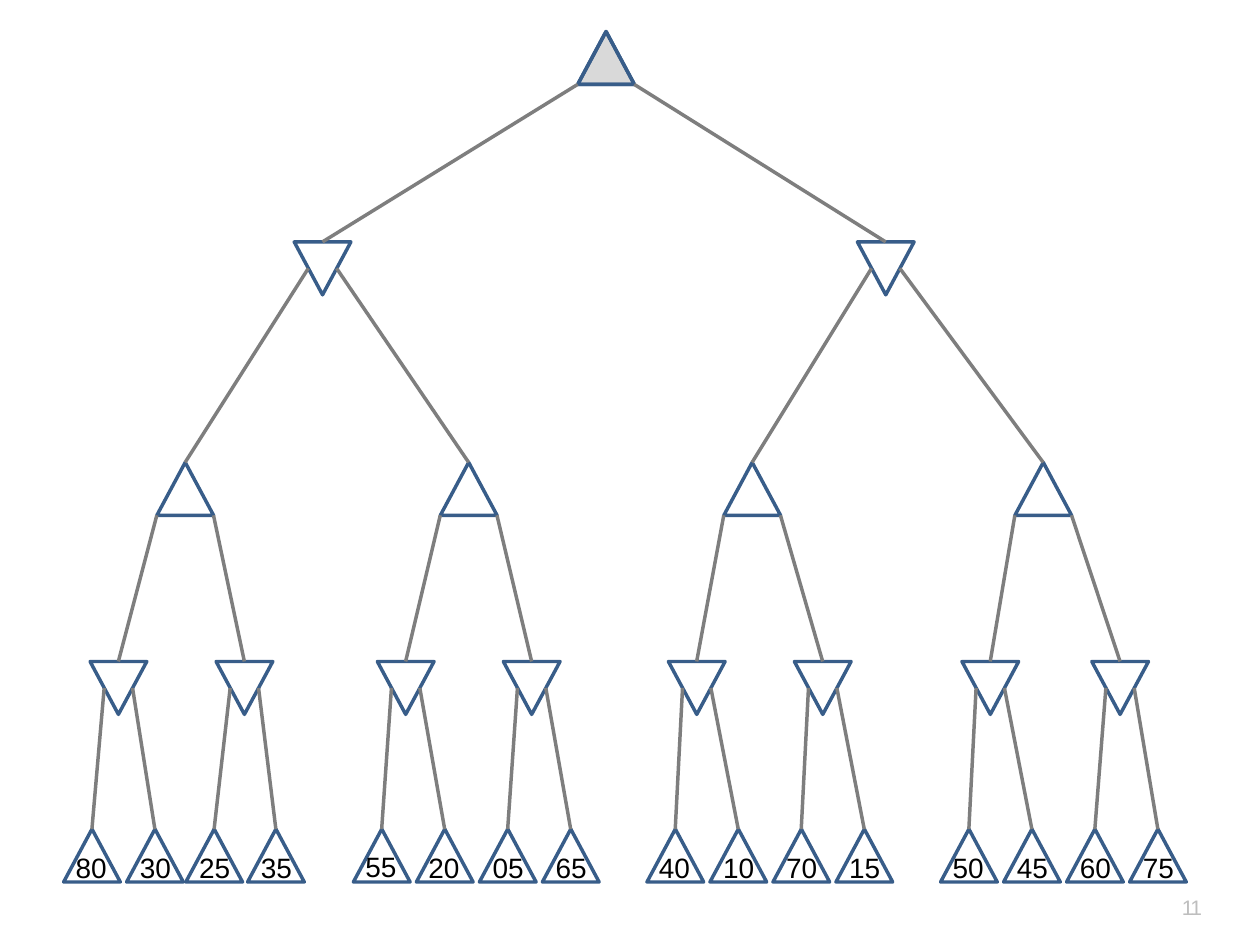
from dataclasses import dataclass

from lxml import etree
from pptx import Presentation
from pptx import util as u
from pptx.dml.color import RGBColor
from pptx.enum import text
from pptx.oxml.ns import qn

PX = 9144  # EMU per px, 100 px to the inch


@dataclass(frozen=True)
class Theme:
    font: str = "Arial"
    rim: str = "385D89"
    edge: str = "7E7E7E"
    root: str = "D9D9D9"
    ink: str = "000000"
    mute: str = "BEBEBE"
    leaf_pt: int = 16
    page_pt: int = 12
    line_pt: float = 1.98


T = Theme()
WIDE, HIGH = 45, 42  # size of a node

# Each tier: top of its nodes, then their centres; max and min tiers alternate
TIERS = [
    (25, [481]),
    (192, [256, 703]),
    (367, [147, 372, 597, 828]),
    (525, [94, 194, 322, 422, 553, 653, 786, 889]),
    (658, [73, 123, 170, 219, 303, 353, 403, 453,
           536, 586, 636, 686, 769, 819, 869, 919]),
]
# Lines of leaf values: top of the line, then its values
SCORES = [
    (674, ["80", "30", "25", "35"]),
    (673, ["55"]),
    (674, ["20", "05", "65"]),
    (674, ["40", "10", "70", "15"]),
    (674, ["50", "45", "60", "75"]),
]


def emu(px):
    return u.Emu(round(px * PX))


def rgb(code):
    return RGBColor.from_string(code)


def add_paths(slide, paths, closed, line=None, fill=None):
    """Draw all paths, each a list of px points, as one outline."""
    paths = [[(emu(x), emu(y)) for x, y in path] for path in paths]
    pen = slide.shapes.build_freeform(*paths[0][0])
    for i, path in enumerate(paths):
        if i:
            pen.move_to(*path[0])
        pen.add_line_segments(path[1:], close=closed)
    form = pen.convert_to_shape()
    form.shadow.inherit = False
    if fill:
        form.fill.solid()
        form.fill.fore_color.rgb = rgb(fill)
    else:
        form.fill.background()
    if line:
        form.line.color.rgb = rgb(line)
        form.line.width = u.Pt(T.line_pt)
    else:
        form.line.fill.background()


def node(mid, top, is_max):
    """Corners of a triangle: base, tip, base."""
    base, tip = (top + HIGH, top) if is_max else (top, top + HIGH)
    return [(mid - WIDE / 2, base), (mid, tip), (mid + WIDE / 2, base)]


def edges():
    """Lines from base corners of max nodes, or mid sides of min nodes."""
    for tier, (top, mids) in enumerate(TIERS[:-1]):
        is_max = tier % 2 == 0
        reach = WIDE / 2 if is_max else WIDE / 4
        drop = HIGH if is_max else HIGH / 2
        low, kids = TIERS[tier + 1]
        for i, kid in enumerate(kids):
            side = 1 if i % 2 else -1
            yield [(mids[i // 2] + side * reach, top + drop), (kid, low)]


def add_text(slide, box, words, size, tint, pad=0, tabs=(), track=0):
    frame = slide.shapes.add_textbox(*map(emu, box)).text_frame
    frame.margin_left = frame.margin_top = emu(pad)
    frame.margin_right = frame.margin_bottom = 0
    frame.word_wrap = True
    frame.vertical_anchor = text.MSO_ANCHOR.TOP
    para = frame.paragraphs[0]
    para.text = words
    if tabs:
        stops = etree.SubElement(
            para._p.get_or_add_pPr(), qn("a:tabLst"))
        for tab in tabs:
            etree.SubElement(
                stops, qn("a:tab"), pos=str(emu(tab)), algn="l")
    para.font.name = T.font
    para.font.size = u.Pt(size)
    para.font.color.rgb = rgb(tint)
    if track:
        para.runs[0]._r.get_or_add_rPr().set("spc", str(track))
    return para


def add_tree(slide):
    # Root: its fill, then its rim
    top, (mid,) = TIERS[0]
    root = [node(mid, top, True)]
    add_paths(slide, root, True, fill=T.root)
    add_paths(slide, root, True, line=T.rim)
    # All nodes as one outline
    nodes = [node(mid, top, tier % 2 == 0)
             for tier, (top, mids) in enumerate(TIERS) for mid in mids]
    add_paths(slide, nodes, True, line=T.rim)


def add_scores(slide):
    mids = iter(TIERS[-1][1])
    for top, row in SCORES:
        spots = [next(mids) for _ in row]
        first = spots[0]
        box = (first - 14, top, spots[-1] - first + 28, 30)
        tabs = [spot - first + 1 for spot in spots[1:]]
        add_text(slide, box, "\t".join(row), T.leaf_pt, T.ink, 1, tabs)


def add_page(slide):
    para = add_text(slide, (938, 710, 19, 21), "11", T.page_pt, T.mute,
                    track=-90)
    para.line_spacing = u.Pt(14.2)


def main():
    deck = Presentation()
    deck.slide_width, deck.slide_height = emu(1000), emu(750)
    slide = deck.slides.add_slide(deck.slide_layouts[6])
    add_tree(slide)
    add_scores(slide)
    add_paths(slide, list(edges()), False, line=T.edge)
    add_page(slide)
    deck.save("out.pptx")


if __name__ == "__main__":
    main()
